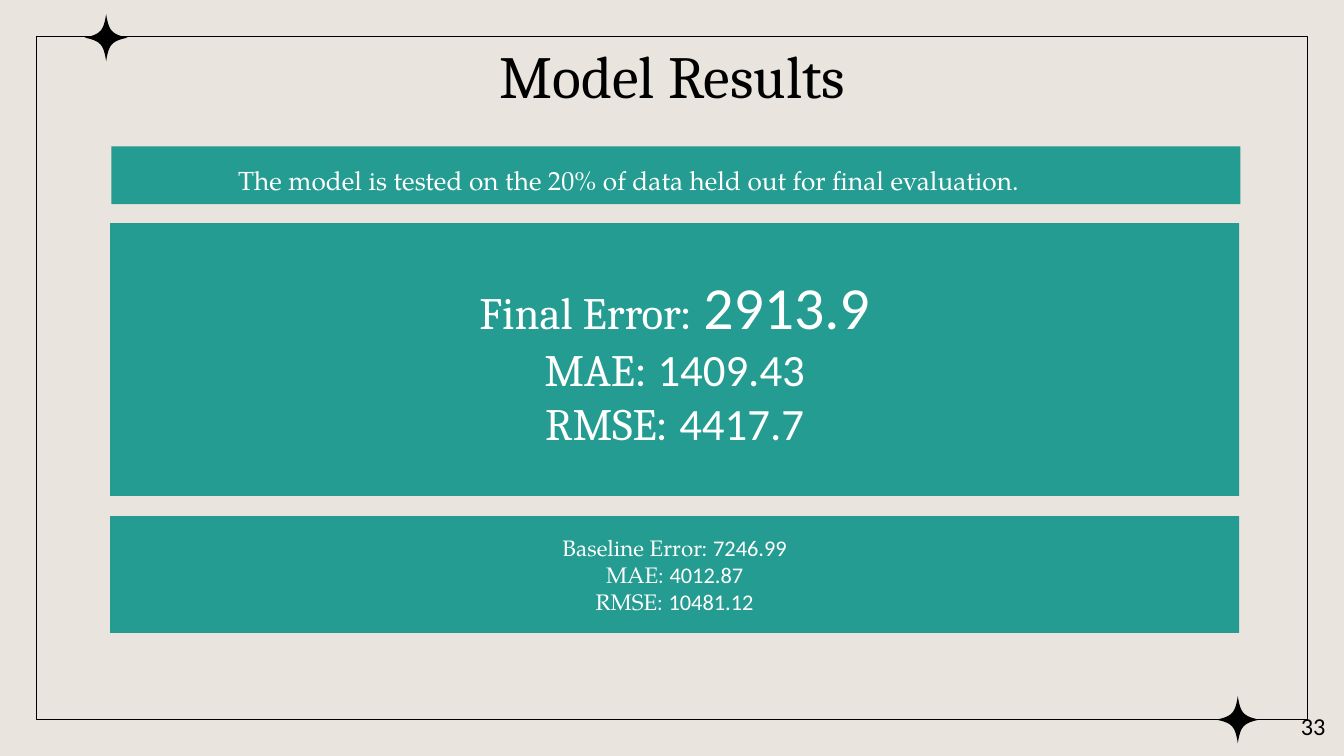
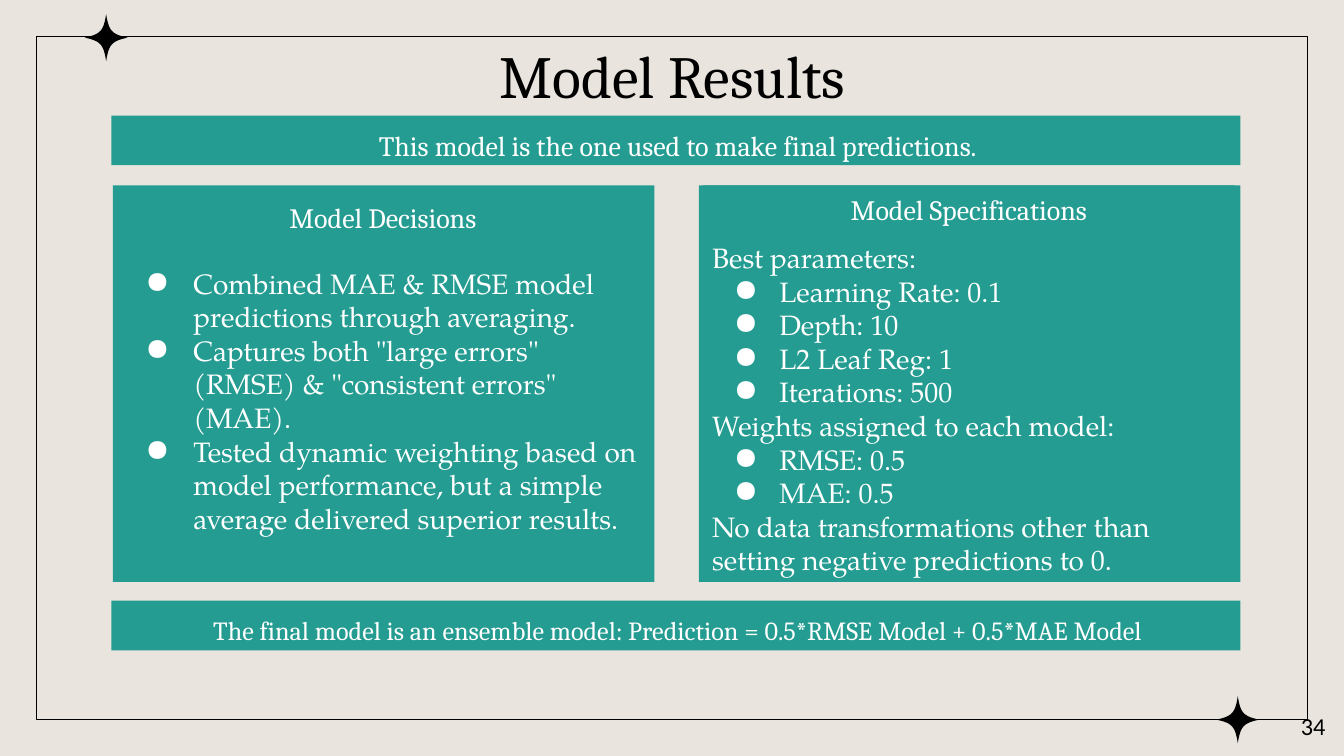
"""Build the two Model Results slides."""
from lxml import etree
from pptx import Presentation
from pptx.dml.color import RGBColor
from pptx.enum.shapes import MSO_SHAPE
from pptx.enum.text import MSO_ANCHOR as Anchor, MSO_AUTO_SIZE, PP_ALIGN as Align
from pptx.oxml.ns import qn
from pptx.util import Inches, Pt

COLORS = {"paper": "E9E5DE", "ink": "000000", "teal": "249C91", "white": "FFFFFF"}
HEAD, BODY, NUM = "Cambria", "TeX Gyre Pagella", "Calibri"
TITLE = "Model Results"

TESTED = "The model is tested on the 20% of data held out for final evaluation."
FINAL = [("Final Error", "2913.9", 32), ("MAE", "1409.43", 24), ("RMSE", "4417.7", 24)]
BASELINE = [("Baseline Error", "7246.99"), ("MAE", "4012.87"), ("RMSE", "10481.12")]

USED = "This model is the one used to make final predictions."
ENSEMBLE = ("The final model is an ensemble model: "
            "Prediction = 0.5*RMSE Model + 0.5*MAE Model")
DECISIONS = [
    "Combined MAE & RMSE model predictions through averaging.",
    'Captures both "large errors" (RMSE) & "consistent errors" (MAE).',
    "Tested dynamic weighting based on model performance, "
    "but a simple average delivered superior results.",
]
SPECIFICATIONS = [
    ("Best parameters:",
     ["Learning Rate: 0.1", "Depth: 10", "L2 Leaf Reg: 1", "Iterations: 500"]),
    ("Weights assigned to each model:", ["RMSE: 0.5", "MAE: 0.5"]),
    ("No data transformations other than setting negative predictions to 0.", []),
]

W = 10
H = W * 9 / 16
MARGIN = 0.27
LEFT, WIDTH = 0.83, 8.4
GAP = 0.15
PANEL_W = 4.03
BAND_H = 0.37
STAR_W, STAR_H = 0.32, 0.35
STAR_CENTERS = [(0.79, 0.28), (W - 0.79, H - 0.27)]
STAR_ARM = [(-1, 0), (-0.25, 0.14), (-0.12, 0.3), (0, 1)]
STEPS = 12


def rgb(name):
    return RGBColor.from_string(COLORS[name])


def place(sp, x, y, w, h):
    sp.left, sp.top, sp.width, sp.height = (Inches(v) for v in (x, y, w, h))


def set_indent(p, bullet, hang):
    pPr = p._p.get_or_add_pPr()
    pPr.set("marL", str(Inches(0.5) if bullet else 0))
    pPr.set("indent", str(-Inches(hang) if bullet else 0))
    if bullet:
        clr = etree.SubElement(pPr, qn("a:buClr"))
        etree.SubElement(clr, qn("a:srgbClr")).set("val", COLORS["white"])
        etree.SubElement(pPr, qn("a:buFont")).set("typeface", BODY)
        etree.SubElement(pPr, qn("a:buChar")).set("char", "●")
    else:
        etree.SubElement(pPr, qn("a:buNone"))


def write(sp, paragraphs, align=Align.CENTER, anchor=Anchor.MIDDLE, color="white",
          hang=0.35, top=0.1):
    """Fill a shape with (bullet, [(text, size, font), ...]) paragraphs."""
    tf = sp.text_frame
    tf.word_wrap, tf.auto_size = True, MSO_AUTO_SIZE.NONE
    tf.vertical_anchor = anchor
    tf.margin_left = tf.margin_right = tf.margin_bottom = Inches(0.1)
    tf.margin_top = Inches(top)
    for i, (bullet, runs) in enumerate(paragraphs):
        p = tf.add_paragraph() if i else tf.paragraphs[0]
        set_indent(p, bullet, hang)
        p.alignment = align
        p.space_before = p.space_after = Pt(0)
        for text, size, font in runs:
            r = p.add_run()
            r.text = text
            r.font.size, r.font.name = Pt(size), font
            r.font.color.rgb = rgb(color)


def line(text, size, font, bullet=False):
    return bullet, [(text, size, font)]


def add_block(slide, x, y, w, h):
    sp = slide.shapes.add_shape(MSO_SHAPE.RECTANGLE, *(Inches(v) for v in (x, y, w, h)))
    sp.shadow.inherit = False
    sp.fill.solid()
    sp.fill.fore_color.rgb = rgb("teal")
    sp.line.fill.background()
    return sp


def star_points(cx, cy):
    """Trace the curved arm of a four-pointed star, mirrored to each quarter."""
    arm = []
    for i in range(STEPS + 1):
        t = i / STEPS
        weights = ((1 - t) ** 3, 3 * t * (1 - t) ** 2, 3 * t * t * (1 - t), t ** 3)
        arm.append([sum(k * pt[axis] for k, pt in zip(weights, STAR_ARM))
                    for axis in (0, 1)])
    half = arm + [(-x, y) for x, y in arm[::-1]]
    full = half + [(x, -y) for x, y in half[::-1]]
    return [(Inches(cx + x * STAR_W / 2), Inches(cy + y * STAR_H / 2)) for x, y in full]


def add_star(slide, cx, cy):
    start, *rest = star_points(cx, cy)
    builder = slide.shapes.build_freeform(*start)
    builder.add_line_segments(rest, close=True)
    sp = builder.convert_to_shape()
    sp.shadow.inherit = False
    sp.fill.solid()
    sp.fill.fore_color.rgb = rgb("ink")
    sp.line.fill.background()


def new_slide(prs, layout, number):
    slide = prs.slides.add_slide(prs.slide_layouts[layout])
    frame = add_block(slide, MARGIN, MARGIN, W - 2 * MARGIN, H - 2 * MARGIN)
    frame.fill.background()
    frame.line.color.rgb = rgb("ink")
    frame.line.width = Pt(0.75)
    for center in STAR_CENTERS:
        add_star(slide, *center)
    title = slide.shapes.title
    place(title, 0.3, 0.28, 9.41, 0.55)
    write(title, [line(TITLE, 32, HEAD)], color="ink")
    box = slide.shapes.add_textbox(*(Inches(v) for v in (9.36, 5.19, 0.6, 0.43)))
    write(box, [line(str(number), 13, NUM)], Align.RIGHT, Anchor.TOP, "ink")
    return slide


def add_band(slide, idx, band, body, text, size, font):
    block = add_block(slide, *band)
    sp = slide.placeholders[idx]
    block._element.addnext(sp._element)
    place(sp, *body)
    write(sp, [line(text, size, font)], anchor=Anchor.TOP)


def add_results(prs):
    slide = new_slide(prs, 1, 33)
    left = LEFT - 0.01
    add_band(slide, 1, (LEFT, 1.09, WIDTH, 0.43), (left, 1.12, 7.72, 0.43),
             TESTED, 14, BODY)
    final_y, final_h = 1.66, 2.03
    final = add_block(slide, left, final_y, WIDTH, final_h)
    write(final, [(False, [(name, 24, HEAD), (": ", 24, BODY), (value, size, NUM)])
                  for name, value, size in FINAL])
    baseline = add_block(slide, left, final_y + final_h + GAP, WIDTH, 0.87)
    write(baseline, [(False, [(f"{name}: ", 12, BODY), (value, 12, NUM)])
                     for name, value in BASELINE])


def add_details(prs):
    slide = new_slide(prs, 3, 34)
    for idx, y, text, size in [(1, 0.86, USED, 15), (2, 4.47, ENSEMBLE, 14)]:
        add_band(slide, idx, (LEFT, y, WIDTH, BAND_H), (0.87, y, 8.35, BAND_H),
                 text, size, HEAD)
    top, height = 0.86 + BAND_H + GAP, 2.95
    right = LEFT + WIDTH - PANEL_W
    panel = add_block(slide, LEFT + 0.01, top, PANEL_W, height)
    write(panel, [line(text, 15, BODY, True) for text in DECISIONS], Align.LEFT, top=0.35)
    add_block(slide, right, top, PANEL_W, height)
    for x, y, text in [(LEFT + 0.04, top + 0.06, "Model Decisions"),
                       (right + 0.03, top, "Model Specifications")]:
        write(add_block(slide, x, y, 3.96, 0.36), [line(text, 15, HEAD)])
    box = slide.shapes.add_textbox(*(Inches(v) for v in (right, 1.69, 4.12, 2.08)))
    rows = []
    for heading, items in SPECIFICATIONS:
        rows.append(line(heading, 15, BODY))
        rows += [line(item, 15, BODY, True) for item in items]
    write(box, rows, Align.LEFT, Anchor.TOP, hang=0.33)


def main():
    prs = Presentation()
    prs.slide_width, prs.slide_height = Inches(W), Inches(H)
    fill = prs.slide_master.background.fill
    fill.solid()
    fill.fore_color.rgb = rgb("paper")
    add_results(prs)
    add_details(prs)
    prs.save("out.pptx")


if __name__ == "__main__":
    main()
